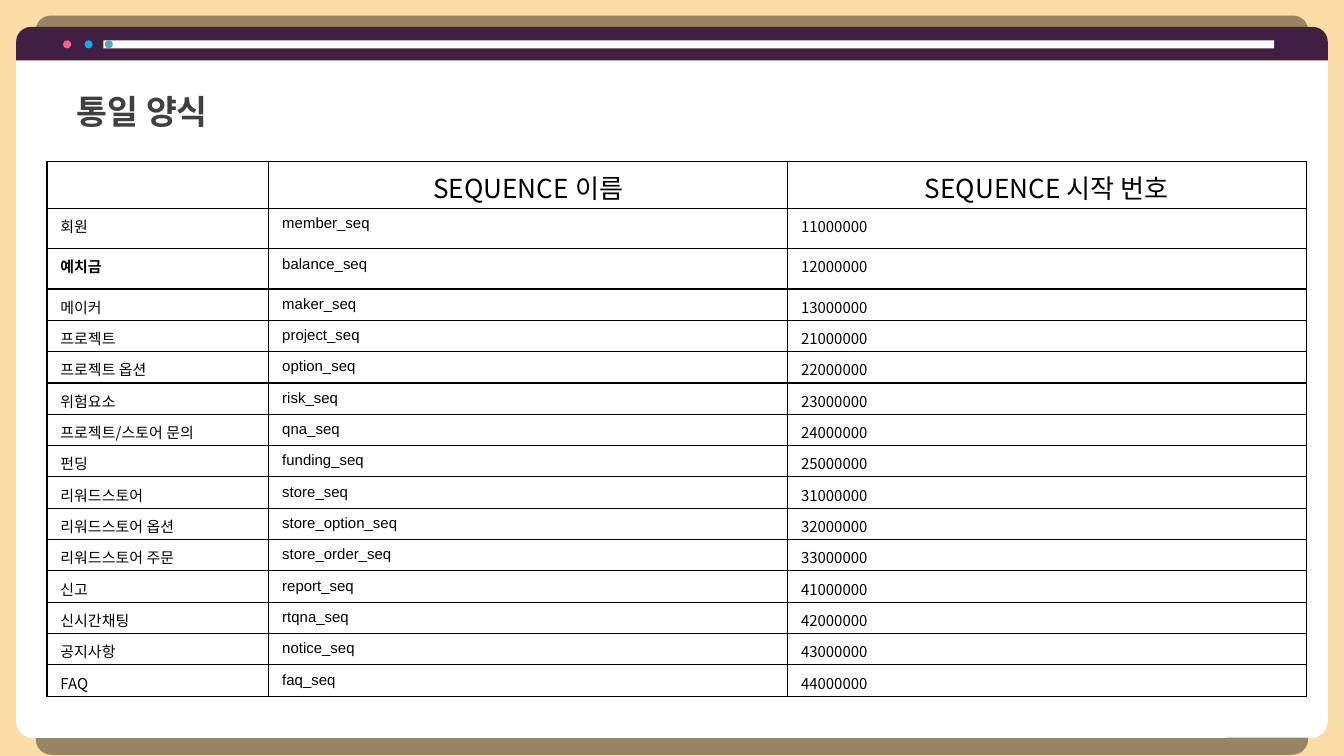
from lxml.etree import SubElement
from pptx import Presentation
from pptx.dml.color import RGBColor
from pptx.enum.shapes import MSO_SHAPE as Shape
from pptx.enum.text import MSO_ANCHOR as Anchor, MSO_AUTO_SIZE as AutoSize, PP_ALIGN as Align
from pptx.oxml import parse_xml
from pptx.oxml.ns import nsdecls, qn
from pptx.util import Inches, Pt

KOREAN, LATIN = "Noto Sans CJK KR", "Arial"
SEQUENCES = [
    ("회원", "member_seq", "11000000"),
    ("예치금", "balance_seq", "12000000"),
    ("메이커", "maker_seq", "13000000"),
    ("프로젝트", "project_seq", "21000000"),
    ("프로젝트 옵션", "option_seq", "22000000"),
    ("위험요소", "risk_seq", "23000000"),
    ("프로젝트/스토어 문의", "qna_seq", "24000000"),
    ("펀딩", "funding_seq", "25000000"),
    ("리워드스토어", "store_seq", "31000000"),
    ("리워드스토어 옵션", "store_option_seq", "32000000"),
    ("리워드스토어 주문", "store_order_seq", "33000000"),
    ("신고", "report_seq", "41000000"),
    ("신시간채팅", "rtqna_seq", "42000000"),
    ("공지사항", "notice_seq", "43000000"),
    ("FAQ", "faq_seq", "44000000"),
]


def color(hex_code):
    return RGBColor.from_string(hex_code)


def write(frame, text, size=8, font=KOREAN, ink="000000", bold=False,
          align=Align.LEFT, spacing=None):
    paragraph = frame.paragraphs[0]
    paragraph.alignment = align
    if spacing:
        paragraph.line_spacing = spacing
    if not text:
        SubElement(paragraph._p, qn("a:endParaRPr")).set("sz", str(size * 100))
        return
    run = paragraph.add_run()
    run.text = text
    run.font.size = Pt(size)
    run.font.bold = bold
    run.font.color.rgb = color(ink)
    run.font.name = font
    SubElement(run._r.get_or_add_rPr(), qn("a:ea")).set("typeface", font)


class BrowserSlide:
    def __init__(self, slide, background):
        self.slide = slide
        slide.background.fill.solid()
        slide.background.fill.fore_color.rgb = color(background)

    def panel(self, kind, left, top, width, height, fill, corners=()):
        shape = self.slide.shapes.add_shape(
            kind, Inches(left), Inches(top), Inches(width), Inches(height))
        shape.shadow.inherit = False
        shape.fill.solid()
        shape.fill.fore_color.rgb = color(fill)
        shape.line.fill.background()
        for index, corner in enumerate(corners):
            shape.adjustments[index] = corner
        return shape

    def cast_shadow(self, shape, distance, degrees):
        """Add a hard, slightly narrower shadow behind the shape."""
        effects = shape._element.spPr.find(qn("a:effectLst"))
        effects.append(parse_xml(
            f'<a:outerShdw {nsdecls("a")} blurRad="0" dist="{Pt(distance)}" '
            f'dir="{degrees * 60000}" sx="97000" sy="97000" algn="t" rotWithShape="0">'
            '<a:srgbClr val="000000"><a:alpha val="40000"/></a:srgbClr></a:outerShdw>'))

    def title(self, text, left, top, width, height):
        """Place the title in front of the panels drawn so far."""
        heading = self.slide.shapes.title
        self.slide.shapes._spTree.append(heading._element)
        heading.left, heading.top = Inches(left), Inches(top)
        heading.width, heading.height = Inches(width), Inches(height)
        frame = heading.text_frame
        frame.word_wrap = True
        frame.auto_size = AutoSize.SHAPE_TO_FIT_TEXT
        frame.vertical_anchor = Anchor.MIDDLE
        frame.margin_left = frame.margin_right = Inches(0.07)
        frame.margin_top = frame.margin_bottom = Inches(0.04)
        write(frame, text, size=18, ink="404040", bold=True, spacing=1.5)

    def cell(self, cell, text, **style):
        cell.margin_left = cell.margin_right = Inches(0.1)
        cell.margin_top, cell.margin_bottom = Inches(0.05), Inches(0.02)
        for side in ("lnL", "lnR", "lnT", "lnB"):
            cell._tc.get_or_add_tcPr().append(parse_xml(
                f'<a:{side} {nsdecls("a")} w="{Pt(0.75)}"><a:solidFill>'
                f'<a:srgbClr val="000000"/></a:solidFill></a:{side}>'))
        cell.fill.background()
        write(cell.text_frame, text, **style)

    def table(self, header, records, left, top, columns, rows):
        table = self.slide.shapes.add_table(
            len(rows), len(columns), Inches(left), Inches(top),
            Inches(sum(columns)), Inches(sum(rows))).table
        table.first_row = table.horz_banding = False
        for column, width in zip(table.columns, columns):
            column.width = Inches(width)
        for row, height in zip(table.rows, rows):
            row.height = Inches(height)
        for index, label in enumerate(header):
            self.cell(table.cell(0, index), label, size=14, align=Align.CENTER)
        for index, (subject, name, start) in enumerate(records, 1):
            self.cell(table.cell(index, 0), subject, bold=subject == "예치금")
            self.cell(table.cell(index, 1), name, font=LATIN)
            self.cell(table.cell(index, 2), start)


def main():
    deck = Presentation()
    deck.slide_width, deck.slide_height = Inches(10), Inches(10 * 9 / 16)
    page = BrowserSlide(deck.slides.add_slide(deck.slide_layouts[5]), "FADCA5")

    rounded = Shape.ROUND_2_SAME_RECTANGLE
    window = page.panel(rounded, 0.12, 0.45, 9.76, 5.04, "FFFFFF", (0, 0.024))
    page.cast_shadow(window, 20, 90)
    title_bar = page.panel(rounded, 0.12, 0.2, 9.76, 0.25, "411F42", (0.447, 0))
    page.cast_shadow(title_bar, 6, 270)
    page.panel(Shape.RECTANGLE, 0.77, 0.3, 8.71, 0.06, "FFFFFF")
    for left, fill in ((0.47, "FF6189"), (0.63, "00B0F0"), (0.78, "57A7B5")):
        page.panel(Shape.OVAL, left, 0.3, 0.06, 0.06, fill)

    page.title("통일 양식", 0.5, 0.51, 7.21, 0.49)
    top_rows = [0.35, 0.3, 0.3]
    other_count = len(SEQUENCES) + 1 - len(top_rows)
    other_height = (3.98 - sum(top_rows)) / other_count
    page.table(("", "SEQUENCE 이름", "SEQUENCE 시작 번호"), SEQUENCES, 0.35, 1.2,
               [1.65, 3.86, 3.86], top_rows + [other_height] * other_count)
    deck.save("out.pptx")


if __name__ == "__main__":
    main()
